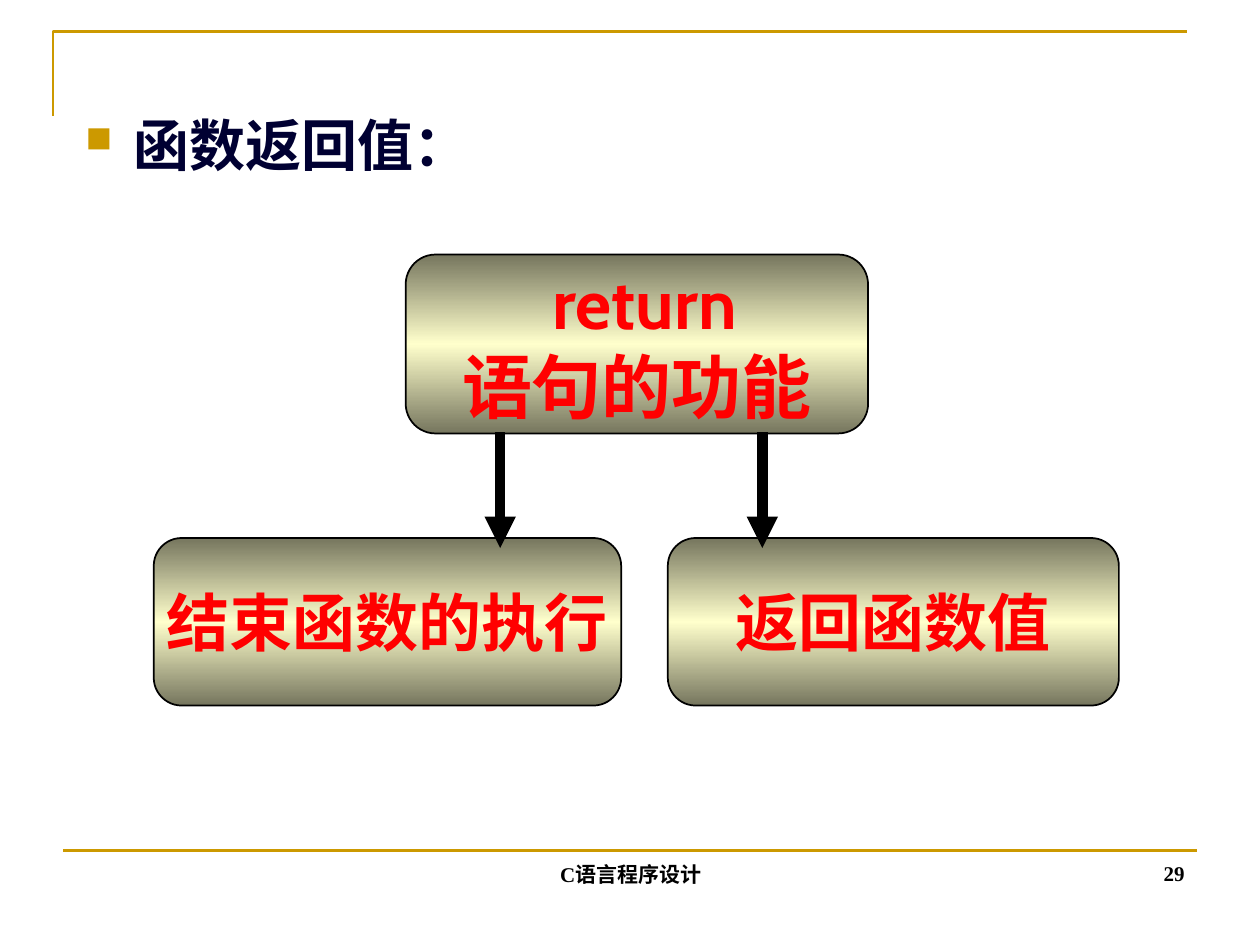
from copy import deepcopy

from lxml import etree
from pptx import Presentation
from pptx.dml.color import RGBColor
from pptx.enum.shapes import MSO_CONNECTOR, MSO_SHAPE
from pptx.enum.text import MSO_ANCHOR, PP_ALIGN
from pptx.oxml.ns import qn
from pptx.util import Inches, Pt

STRAIGHT = MSO_CONNECTOR.STRAIGHT
ROUNDED_BOX = MSO_SHAPE.FLOWCHART_ALTERNATE_PROCESS
TOP, MIDDLE, BOTTOM = MSO_ANCHOR.TOP, MSO_ANCHOR.MIDDLE, MSO_ANCHOR.BOTTOM
LEFT, CENTER, RIGHT = PP_ALIGN.LEFT, PP_ALIGN.CENTER, PP_ALIGN.RIGHT
COLORS = {
    "gold": "CC9900",
    "navy": "000032",
    "black": "000000",
    "red": "FF0000",
    "olive": "76765E",
    "cream": "FFFFCC",
}


def rgb(name):
    """Return the named colour."""
    return RGBColor.from_string(COLORS[name])


def add_run(paragraph, text, size, font, color):
    """Add one bold run to a paragraph."""
    run = paragraph.add_run()
    run.text = text
    run.font.size = Pt(size)
    run.font.name = font
    run.font.bold = True
    run.font.color.rgb = rgb(color)


def add_label(slide, box, text, size, font, color, align, anchor):
    """Add a one-line text box and return its paragraph."""
    frame = slide.shapes.add_textbox(*map(Inches, box)).text_frame
    frame.word_wrap = True
    frame.vertical_anchor = anchor
    paragraph = frame.paragraphs[0]
    paragraph.alignment = align
    add_run(paragraph, text, size, font, color)
    return paragraph


def add_line(slide, start, end, color, width):
    """Draw a straight line without shadow and return it."""
    line = slide.shapes.add_connector(STRAIGHT, *map(Inches, start + end))
    line.line.color.rgb = rgb(color)
    line.line.width = Pt(width)
    etree.SubElement(line._element.spPr, qn("a:effectLst"))
    return line


def add_arrow(slide, x, top, bottom):
    """Draw a thick arrow pointing down."""
    arrow = add_line(slide, (x, top), (x, bottom), "black", 6)
    etree.SubElement(arrow.line._get_or_add_ln(), qn("a:tailEnd"), type="triangle")


def shade(fill):
    """Fill with a vertical gradient that is light in the middle."""
    fill.gradient()
    fill.gradient_angle = 90
    stops = fill._fill._gradFill.find(qn("a:gsLst"))
    stops.append(deepcopy(stops[0]))
    for stop, position, color in zip(
        fill.gradient_stops, (0, 0.5, 1), ("olive", "cream", "olive")
    ):
        stop.position = position
        stop.color.rgb = rgb(color)


def add_node(slide, box, lines, size):
    """Add a shaded rounded box with centred lines of text."""
    node = slide.shapes.add_shape(ROUNDED_BOX, *map(Inches, box))
    node.shadow.inherit = False
    shade(node.fill)
    node.line.color.rgb = rgb("black")
    node.line.width = Pt(1)
    frame = node.text_frame
    frame.word_wrap = False
    frame.vertical_anchor = MIDDLE
    for index, text in enumerate(lines):
        paragraph = frame.add_paragraph() if index else frame.paragraphs[0]
        paragraph.alignment = CENTER
        add_run(paragraph, text, size, "Cabin", "red")


def add_corner(slide, box):
    """Draw the open corner rule at the top left."""
    left, top, width, height = map(Inches, box)
    builder = slide.shapes.build_freeform(left, top + height)
    builder.add_line_segments([(left, top), (left + width, top)], close=False)
    corner = builder.convert_to_shape()
    corner.shadow.inherit = False
    corner.fill.background()
    corner.line.color.rgb = rgb("gold")
    corner.line.width = Pt(1.5)


def add_heading(slide, box, text):
    """Add the bulleted heading."""
    heading = add_label(slide, box, text, 32, "Arial", "navy", LEFT, TOP)
    properties = heading._p.get_or_add_pPr()
    properties.set("marL", str(Inches(0.38)))
    properties.set("indent", str(-Inches(0.38)))
    bullet_color = etree.SubElement(properties, qn("a:buClr"))
    etree.SubElement(bullet_color, qn("a:srgbClr"), val=COLORS["gold"])
    etree.SubElement(properties, qn("a:buSzPct"), val="65000")
    etree.SubElement(properties, qn("a:buChar"), char="■")


def add_footer(slide, box, course, number):
    """Add the bottom rule with the course name and page number."""
    left, top, width, height = box
    add_line(slide, (left, top), (left + width, top), "gold", 1.5)
    style = (12, "Times New Roman", "black")
    course_box = (left + 2.92, top - 0.16, 3.17, height)
    number_box = (left + width - 2.33, top - 0.17, 2.33, height)
    add_label(slide, course_box, course, *style, CENTER, BOTTOM)
    add_label(slide, number_box, number, *style, RIGHT, BOTTOM)


def add_diagram(slide, box):
    """Draw the return statement and its two functions."""
    left, top, width, height = box
    child_height = 1.33
    child_top = top + height - child_height
    add_node(slide, (left + 2, top, 3.67, 1.42), (" return", "语句的功能"), 40)
    children = (
        (left, 3.71, "结束函数的执行", left + 2.75),
        (left + width - 3.58, 3.58, "返回函数值", left + 4.83),
    )
    for child_left, child_width, text, arrow_x in children:
        add_node(slide, (child_left, child_top, child_width, child_height), (text,), 36)
        add_arrow(slide, arrow_x, top + 1.41, child_top + 0.08)


def main():
    """Build and save the slide."""
    deck = Presentation()
    deck.slide_width, deck.slide_height = Inches(10), Inches(7.5)
    slide = deck.slides.add_slide(deck.slide_layouts[6])
    add_corner(slide, (0.42, 0.25, 9, 0.67))
    add_footer(slide, (0.5, 6.75, 9, 0.5), "C语言程序设计", "29")
    add_diagram(slide, (1.22, 2.02, 7.66, 3.58))
    add_heading(slide, (0.58, 0.83, 9, 0.67), "函数返回值：")
    deck.save("out.pptx")


if __name__ == "__main__":
    main()
